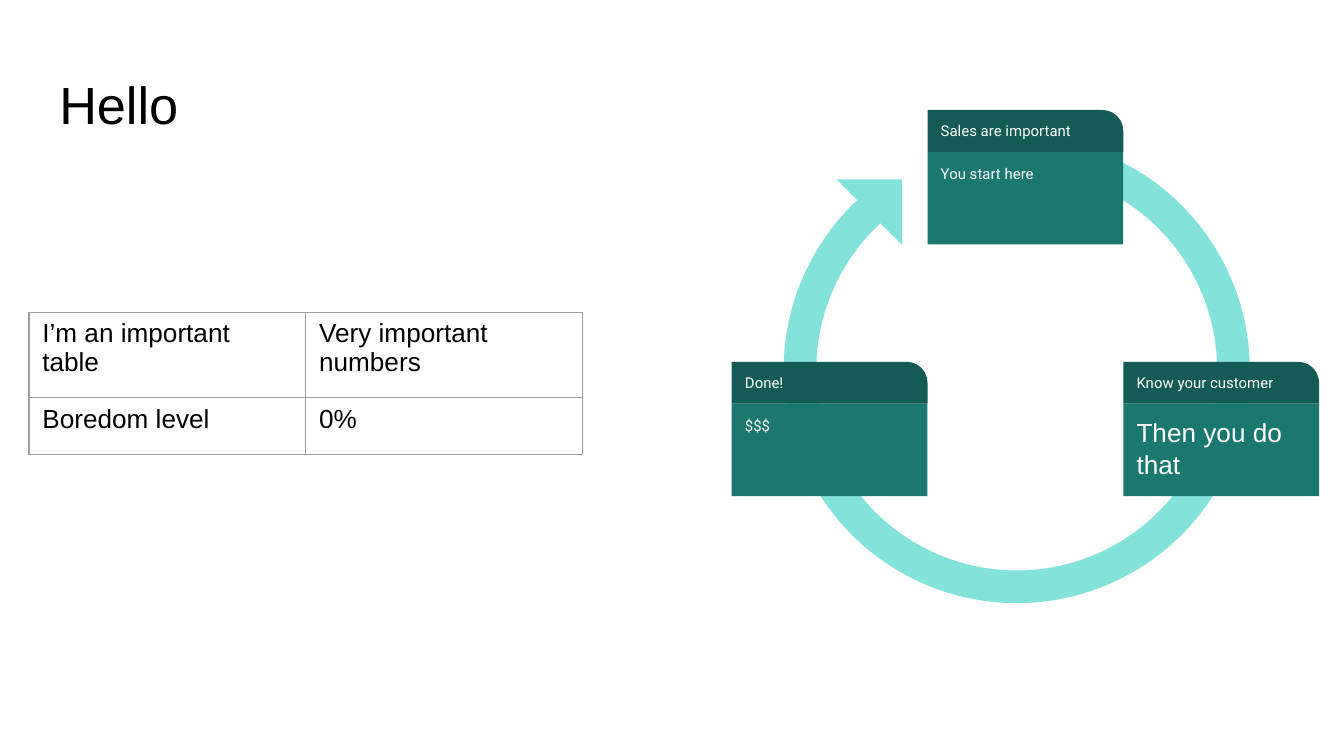
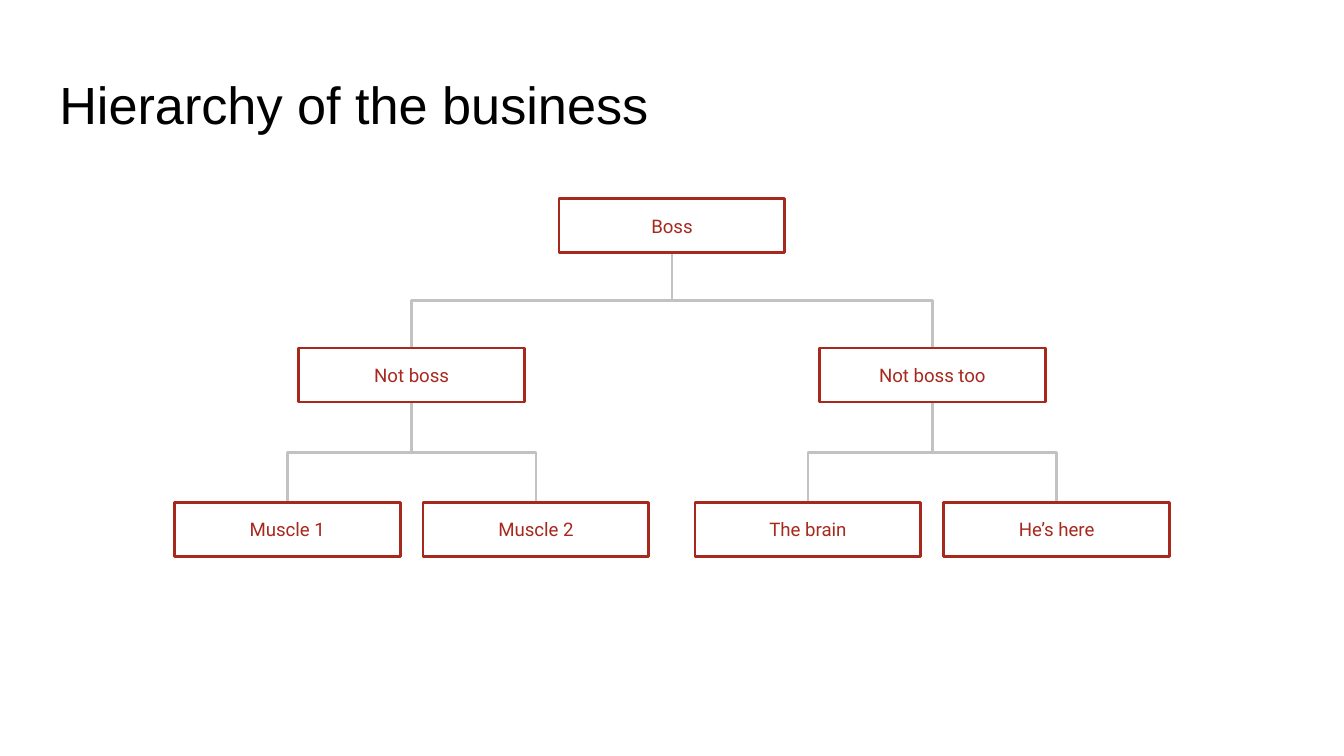
from lxml import etree
from pptx import Presentation
from pptx import util as u
from pptx.dml.color import RGBColor
from pptx.enum import shapes, text
from pptx.oxml.ns import qn

COLORS = {
    "ink": "000000", "paper": "FFFFFF", "grid": "9E9E9E",
    "ring": "83E3DA", "card": "1B786F", "card_head": "155B55",
    "node": "A7291E", "branch": "C2C2C2",
}
INSET = 0.25
TITLE_LEFT, TITLE_TOP, TITLE_HEIGHT = 0.87, 1.24, 1.59

TABLE = [
    ["I’m an important table", "Very important numbers"],
    ["Boredom level", "0%"],
]
TABLE_LEFT, TABLE_TOP, COLUMN = 0.55, 5.9, 5.23
ROW_HEIGHTS = [1.62, 1.07]

# heading, body, body font, body size, column on the ring, top
CARDS = [
    ("Know your customer", "Then you do that", "Arial", 14, 2, 6.84),
    ("Sales are important", "You start here", "Roboto", 8, 1, 2.08),
    ("Done!", "$$$", "Roboto", 8, 0, 6.84),
]
CARDS_LEFT, CARD_WIDTH, HEAD_HEIGHT, BODY_HEIGHT = 13.83, 3.7, 0.79, 1.75

# name, children
STAFF = ("Boss", [
    ("Not boss", [("Muscle 1", []), ("Muscle 2", [])]),
    ("Not boss too", [("The brain", []), ("He’s here", [])]),
])
LEVEL_TOPS = [3.76, 6.58, 9.5]
CHILD_OFFSETS = [4.92, 2.35]
NODE_WIDTH, NODE_HEIGHT = 4.27, 1.02


def rgb(name):
    return RGBColor.from_string(COLORS[name])


def put_text(tf, words, font="Arial", size=14, color="ink", align="LEFT",
             spacing=None):
    tf.text = words
    p = tf.paragraphs[0]
    p.alignment = getattr(text.PP_ALIGN, align)
    p.line_spacing = spacing
    f = p.runs[0].font
    f.name, f.size, f.color.rgb = font, u.Pt(size), rgb(color)


def frame(tf, anchor):
    """Set the insets, wrapping and vertical anchor shared by all boxes."""
    tf.margin_left = tf.margin_right = u.Cm(INSET)
    tf.margin_top = tf.margin_bottom = u.Cm(INSET)
    tf.word_wrap = True
    tf.auto_size = text.MSO_AUTO_SIZE.NONE
    tf.vertical_anchor = getattr(text.MSO_ANCHOR, anchor)


def add_box(s, kind, left, top, width, height, fill=None, line=None,
            words=None, anchor="MIDDLE", **style):
    sp = s.shapes.add_shape(getattr(shapes.MSO_SHAPE, kind), u.Cm(left),
                            u.Cm(top), u.Cm(width), u.Cm(height))
    sp.shadow.inherit = False
    if fill:
        sp.fill.solid()
        sp.fill.fore_color.rgb = rgb(fill)
    else:
        sp.fill.background()
    if line:
        sp.line.color.rgb = rgb(line)
        sp.line.width = u.Pt(1.5)
    else:
        sp.line.fill.background()
    if words:
        frame(sp.text_frame, anchor)
        put_text(sp.text_frame, words, **style)
    return sp


def add_slide(prs, title, title_width):
    s = prs.slides.add_slide(prs.slide_layouts[5])
    s.background.fill.solid()
    s.background.fill.fore_color.rgb = rgb("paper")
    sp = s.shapes.title
    sp.left, sp.top = u.Cm(TITLE_LEFT), u.Cm(TITLE_TOP)
    sp.width, sp.height = u.Cm(title_width), u.Cm(TITLE_HEIGHT)
    frame(sp.text_frame, "TOP")
    put_text(sp.text_frame, title, size=28, spacing=0.9)
    return s


def border_cell(cell):
    pr = cell._tc.get_or_add_tcPr()
    for i, side in enumerate(("lnL", "lnR", "lnT", "lnB")):
        ln = etree.Element(qn("a:" + side), w=str(u.Pt(0.75)))
        fill = etree.SubElement(ln, qn("a:solidFill"))
        etree.SubElement(fill, qn("a:srgbClr"), val=COLORS["grid"])
        pr.insert(i, ln)


def add_numbers_table(s):
    tbl = s.shapes.add_table(
        len(TABLE), len(TABLE[0]), u.Cm(TABLE_LEFT), u.Cm(TABLE_TOP),
        u.Cm(COLUMN * len(TABLE[0])), u.Cm(sum(ROW_HEIGHTS))).table
    tbl.first_row = tbl.horz_banding = False
    for col in tbl.columns:
        col.width = u.Cm(COLUMN)
    for row, height, texts in zip(tbl.rows, ROW_HEIGHTS, TABLE):
        row.height = u.Cm(height)
        for cell, words in zip(row.cells, texts):
            cell.fill.background()
            cell.margin_left = cell.margin_right = u.Cm(INSET)
            cell.margin_top = cell.margin_bottom = u.Cm(INSET / 2)
            put_text(cell.text_frame, words)
            border_cell(cell)


def add_cycle(s):
    arc = add_box(s, "BLOCK_ARC", 14.81, 2.59, 8.81, 8.81, fill="ring")
    for i, value in enumerate((54, 30.13, 0.07)):
        arc.adjustments[i] = value
    head = add_box(s, "RIGHT_TRIANGLE", 15.81, 3.39, 1.24, 1.24, fill="ring")
    arc.rotation = head.rotation = 180
    for heading, body, font, size, column, top in CARDS:
        left = CARDS_LEFT + column * CARD_WIDTH
        add_box(s, "RECTANGLE", left, top + HEAD_HEIGHT, CARD_WIDTH,
                BODY_HEIGHT, fill="card", words=body, anchor="TOP",
                font=font, size=size, color="paper")
        tab = add_box(s, "ROUND_1_RECTANGLE", left, top, CARD_WIDTH,
                      HEAD_HEIGHT, fill="card_head", words=heading,
                      font="Roboto", size=8, color="paper")
        tab.adjustments[0] = 0.5


def add_branch(s, x1, y1, x2, y2):
    """Draw an elbow that leaves and arrives vertically: a turned connector."""
    length, breadth = y2 - y1, abs(x2 - x1)
    left = (x1 + x2 - length) / 2
    top = (y1 + y2 - breadth) / 2
    c = s.shapes.add_connector(
        shapes.MSO_CONNECTOR.ELBOW, u.Cm(left), u.Cm(top),
        u.Cm(left + length), u.Cm(top + breadth))
    c.line.color.rgb = rgb("branch")
    c.line.width = u.Pt(1.5)
    pr = c._element.spPr
    etree.SubElement(pr, qn("a:effectLst"))
    xfrm = pr.find(qn("a:xfrm"))
    xfrm.set("rot", str(270 * 60000))
    if x2 > x1:
        xfrm.set("flipH", "1")


def add_staff(s, person, center, level=0):
    name, children = person
    top = LEVEL_TOPS[level]
    for side, child in zip((-1, 1), children):
        x = center + side * CHILD_OFFSETS[level]
        add_branch(s, center, top + NODE_HEIGHT, x, LEVEL_TOPS[level + 1])
        add_staff(s, child, x, level + 1)
    add_box(s, "RECTANGLE", center - NODE_WIDTH / 2, top, NODE_WIDTH,
            NODE_HEIGHT, line="node", words=name, font="Roboto", size=10,
            color="node", align="CENTER")


def main():
    prs = Presentation()
    prs.slide_width, prs.slide_height = u.Cm(25.4), u.Cm(14.29)

    s = add_slide(prs, "Hello", 3.33)
    add_numbers_table(s)
    add_cycle(s)

    s = add_slide(prs, "Hierarchy of the business", 23.67)
    add_staff(s, STAFF, 12.7)

    prs.save("out.pptx")


if __name__ == "__main__":
    main()
